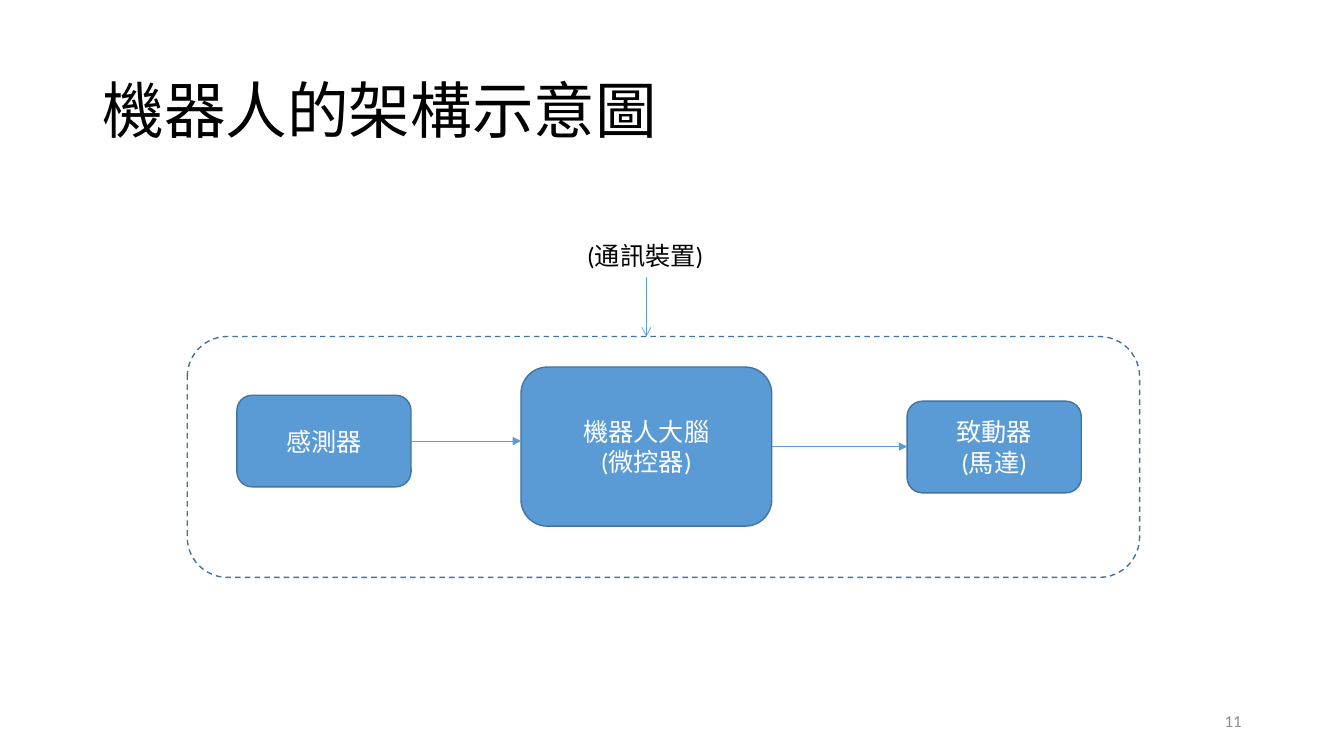
from lxml import etree
from pptx import Presentation
from pptx.dml.color import RGBColor
from pptx.enum.dml import MSO_LINE
from pptx.enum.shapes import MSO_CONNECTOR, MSO_SHAPE
from pptx.enum.text import MSO_ANCHOR, MSO_AUTO_SIZE, PP_ALIGN
from pptx.oxml.ns import qn
from pptx.util import Cm, Pt

LEFT, CENTER, RIGHT = PP_ALIGN.LEFT, PP_ALIGN.CENTER, PP_ALIGN.RIGHT
TOP, MIDDLE = MSO_ANCHOR.TOP, MSO_ANCHOR.MIDDLE
NO_AUTOFIT = MSO_AUTO_SIZE.NONE
ROUNDED = MSO_SHAPE.ROUNDED_RECTANGLE
STRAIGHT = MSO_CONNECTOR.STRAIGHT
DASH = MSO_LINE.DASH
TITLE_ONLY = 5

FONT = "Calibri"
BLACK, WHITE, GRAY = "000000", "FFFFFF", "8C8C8C"
BLUE, DARK_BLUE = "5B9BD5", "43739E"


def color(hex_string):
    return RGBColor.from_string(hex_string)


def write_text(shape, text, size=18, font_color=BLACK, align=LEFT,
               anchor=MIDDLE, line_spacing=1.0):
    frame = shape.text_frame
    frame.word_wrap = True
    frame.auto_size = NO_AUTOFIT
    frame.vertical_anchor = anchor
    frame.text = text
    for paragraph in frame.paragraphs:
        paragraph.alignment = align
        paragraph.line_spacing = line_spacing
        paragraph.font.name = FONT
        paragraph.font.size = Pt(size)
        paragraph.font.color.rgb = color(font_color)


def add_label(slide, box, text, **text_format):
    label = slide.shapes.add_textbox(*box)
    write_text(label, text, **text_format)


def add_rounded_box(slide, box, fill=None, dash=None):
    shape = slide.shapes.add_shape(ROUNDED, *box)
    shape.shadow.inherit = False
    if fill:
        shape.fill.solid()
        shape.fill.fore_color.rgb = color(fill)
    else:
        shape.fill.background()
    shape.line.color.rgb = color(DARK_BLUE)
    shape.line.width = Pt(1)
    if dash:
        shape.line.dash_style = dash
    return shape


def add_arrow(slide, start, end, head="triangle"):
    arrow = slide.shapes.add_connector(STRAIGHT, *start, *end)
    arrow.line.color.rgb = color(BLUE)
    arrow.line.width = Pt(0.5)
    etree.SubElement(arrow.line._get_or_add_ln(), qn("a:tailEnd"), type=head)
    etree.SubElement(arrow._element.spPr, qn("a:effectLst"))


def add_title(slide, box, text):
    title = slide.shapes.title
    title.left, title.top, title.width, title.height = box
    write_text(title, text, size=44, line_spacing=0.9)


def add_robot_diagram(slide, box):
    left, top, width, height = box

    def add_part(x, y, part_width, part_height, text):
        part_box = left + Cm(x), top + Cm(y), Cm(part_width), Cm(part_height)
        part = add_rounded_box(slide, part_box, fill=BLUE)
        write_text(part, text, font_color=WHITE, align=CENTER)
        return part

    sensor = add_part(1.25, 1.48, 4.39, 2.31, "感測器")
    brain = add_part(8.41, 0.77, 6.32, 4.01, "機器人大腦\n(微控器)")
    actuator = add_part(18.14, 1.63, 4.39, 2.31, "致動器\n(馬達)")

    for source, target in ((sensor, brain), (brain, actuator)):
        middle = source.top + source.height // 2
        add_arrow(slide, (source.left + source.width, middle),
                  (target.left, middle))

    add_rounded_box(slide, box, dash=DASH)
    return brain.left + brain.width // 2


def add_communication_input(slide, box, arrow_x, arrow_end):
    left, top, width, height = box
    add_label(slide, box, "(通訊裝置)", anchor=TOP)
    add_arrow(slide, (arrow_x, top + height + Cm(0.05)),
              (arrow_x, arrow_end), head="arrow")


def build_architecture_slide(presentation):
    slide = presentation.slides.add_slide(
        presentation.slide_layouts[TITLE_ONLY])
    diagram_top = Cm(8.48)
    add_title(slide, (Cm(2.33), Cm(1.01), Cm(29.21), Cm(3.68)),
              "機器人的架構示意圖")
    brain_center = add_robot_diagram(
        slide, (Cm(4.72), diagram_top, Cm(24), Cm(6.07)))
    add_communication_input(
        slide, (Cm(14.55), Cm(5.92), Cm(3.48), Cm(1.02)),
        brain_center, diagram_top)
    add_label(slide, (Cm(23.92), Cm(17.65), Cm(7.62), Cm(1.01)), "11",
              size=12, font_color=GRAY, align=RIGHT)


def main():
    presentation = Presentation()
    presentation.slide_width = Cm(33.87)
    presentation.slide_height = Cm(19.05)
    build_architecture_slide(presentation)
    presentation.save("out.pptx")


if __name__ == "__main__":
    main()
